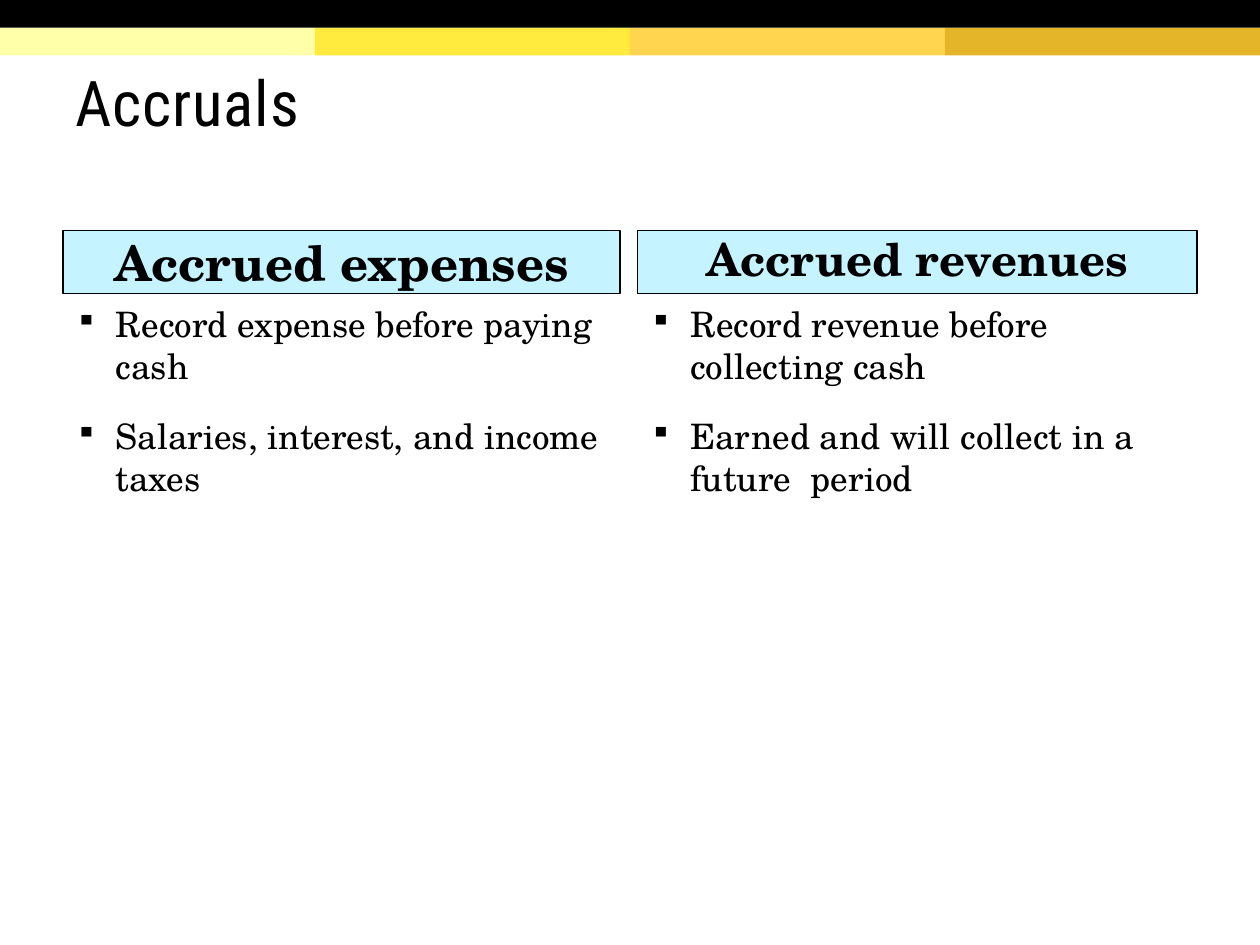
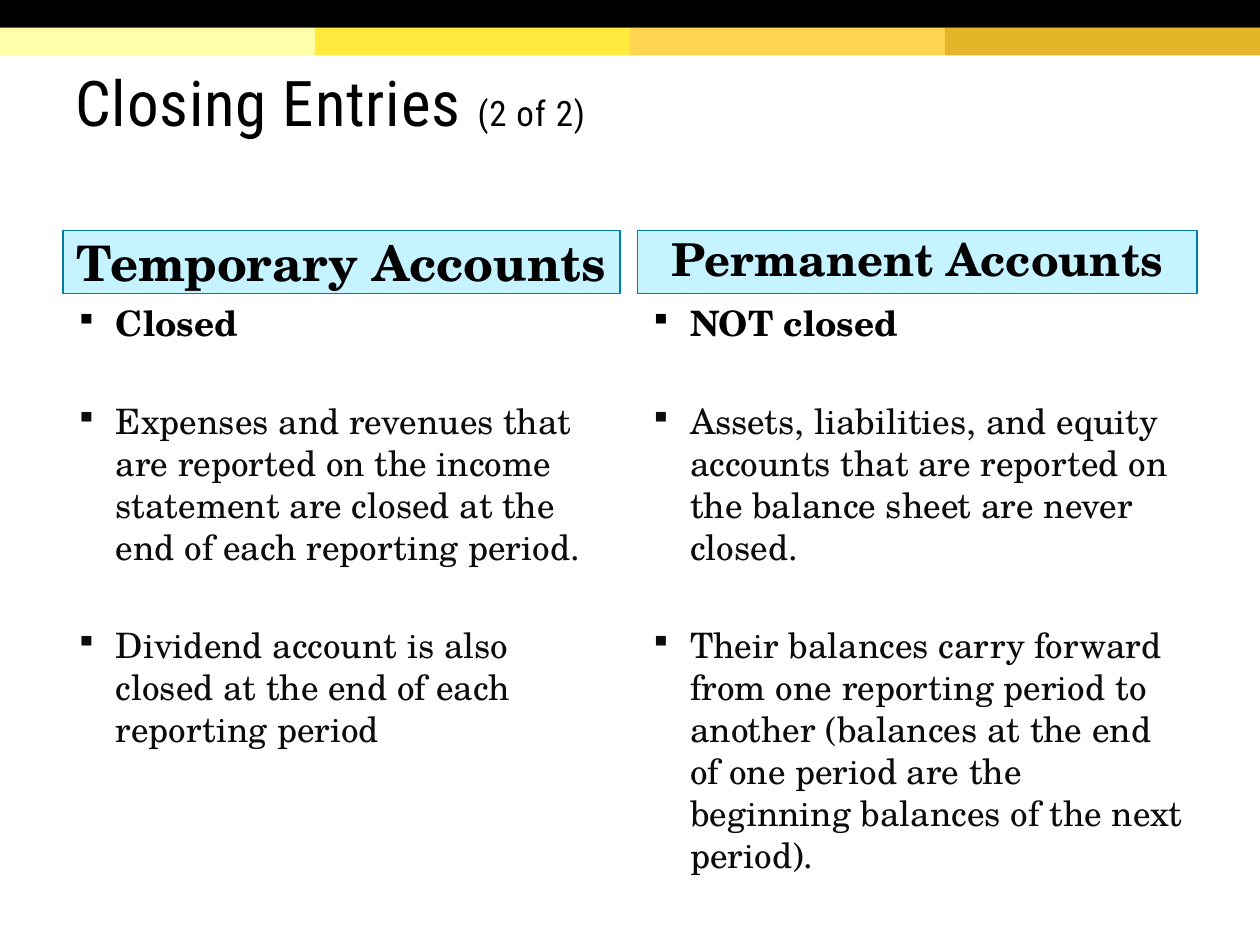
"""Builds two accounting slides that each compare a pair of headed columns."""
from lxml import etree
from pptx import Presentation
from pptx.dml.color import RGBColor
from pptx.enum.shapes import MSO_SHAPE
from pptx.enum.text import MSO_ANCHOR, PP_ALIGN
from pptx.oxml.ns import qn
from pptx.util import Inches, Pt

RECTANGLE = MSO_SHAPE.RECTANGLE
MIDDLE = MSO_ANCHOR.MIDDLE
CENTER = PP_ALIGN.CENTER

BLACK = RGBColor(0x00, 0x00, 0x00)
SOFT_BLACK = RGBColor(0x0C, 0x0C, 0x0C)
TEAL = RGBColor(0x00, 0x7F, 0xA3)
PALE_BLUE = RGBColor(0xC5, 0xF3, 0xFF)
STRIPE_COLORS = [
    RGBColor(0xFF, 0xFF, 0xAA),
    RGBColor(0xFF, 0xEA, 0x3D),
    RGBColor(0xFF, 0xD5, 0x4F),
    RGBColor(0xE4, 0xB4, 0x29),
]
TITLE_FONT = "Roboto Condensed"
BODY_FONT = "TeX Gyre Schola"

SLIDE_WIDTH, SLIDE_HEIGHT = 10, 7.5
BAND_HEIGHT = 0.22
HEADING_TOP, HEADING_HEIGHT = 1.83, 0.5
BULLET_INDENT = 0.32
COLUMNS = [
    {"left": 0.5, "width": 4.42, "size": 28, "spacing": None},
    {"left": 5.06, "width": 4.44, "size": 25.9, "spacing": 0.9},
]

SLIDES = [
    {
        "title": [("Accruals", 36)],
        "outline": BLACK,
        "list_top": 2.35,
        "list_heights": [4.03, 4.03],
        "lead_bold": False,
        "later_color": BLACK,
        "later_gap": 8,
        "columns": [
            ("Accrued expenses", [
                "Record expense before paying cash",
                "Salaries, interest, and income taxes",
            ]),
            ("Accrued revenues", [
                "Record revenue before collecting cash",
                "Earned and will collect in a future  period",
            ]),
        ],
    },
    {
        "title": [("Closing Entries ", 36), ("(2 of 2)", 20)],
        "outline": TEAL,
        "list_top": 2.34,
        "list_heights": [4.03, 4.35],
        "lead_bold": True,
        "later_color": SOFT_BLACK,
        "later_gap": 24,
        "columns": [
            ("Temporary Accounts", [
                "Closed",
                "Expenses and revenues that are reported on the income statement "
                "are closed at the end of each reporting period.",
                "Dividend account is also closed at the end of each reporting period",
            ]),
            ("Permanent Accounts", [
                "NOT closed",
                "Assets, liabilities, and equity accounts that are reported on "
                "the balance sheet are never closed.",
                "Their balances carry forward from one reporting period to another "
                "(balances at the end of one period are the beginning balances "
                "of the next period).",
            ]),
        ],
    },
]


def add_rectangle(page, left, top, width, height, fill, outline=None):
    box = page.shapes.add_shape(
        RECTANGLE, Inches(left), Inches(top), Inches(width), Inches(height))
    box.shadow.inherit = False
    box.fill.solid()
    box.fill.fore_color.rgb = fill
    if outline is None:
        box.line.fill.background()
    else:
        box.line.color.rgb = outline
        box.line.width = Pt(0.75)
    return box


def add_text_frame(page, left, top, width, height):
    box = page.shapes.add_textbox(
        Inches(left), Inches(top), Inches(width), Inches(height))
    box.text_frame.word_wrap = True
    return box.text_frame


def add_span(para, text, font, size, color=BLACK, bold=False):
    span = para.add_run()
    span.text = text
    span.font.name = font
    span.font.size = Pt(size)
    span.font.color.rgb = color
    span.font.bold = bold
    return span


def space_around(para, before=8):
    para.space_before = Pt(before)
    para.space_after = Pt(8)


def add_bullet(para, color):
    properties = para._p.get_or_add_pPr()
    properties.set("marL", str(Inches(BULLET_INDENT)))
    properties.set("indent", str(-Inches(BULLET_INDENT)))
    bullet_color = etree.SubElement(properties, qn("a:buClr"))
    etree.SubElement(bullet_color, qn("a:srgbClr"), val=str(color))
    etree.SubElement(properties, qn("a:buSzPct"), val="85000")
    etree.SubElement(properties, qn("a:buChar"), char="▪")


def add_bands(page):
    stripe_width = SLIDE_WIDTH / len(STRIPE_COLORS)
    for index, color in enumerate(STRIPE_COLORS):
        add_rectangle(page, index * stripe_width, BAND_HEIGHT,
                      stripe_width, BAND_HEIGHT, color)
    add_rectangle(page, 0, 0, SLIDE_WIDTH, BAND_HEIGHT, BLACK)


def add_title(page, parts):
    frame = add_text_frame(page, 0.5, 0.23, 9, 1.2)
    frame.vertical_anchor = MIDDLE
    frame.margin_top = Inches(0.1)
    para = frame.paragraphs[0]
    para.line_spacing = 0.85
    for text, size in parts:
        span = add_span(para, text, TITLE_FONT, size)
        span.font._element.set("spc", "50")


def add_heading(page, column, text, outline):
    box = add_rectangle(page, column["left"], HEADING_TOP, column["width"],
                        HEADING_HEIGHT, PALE_BLUE, outline)
    box.text_frame.word_wrap = True
    box.text_frame.vertical_anchor = MIDDLE
    para = box.text_frame.paragraphs[0]
    para.alignment = CENTER
    para.line_spacing = column["spacing"]
    space_around(para)
    add_span(para, text, BODY_FONT, column["size"], bold=True)


def add_list(page, column, height, items, content):
    frame = add_text_frame(page, column["left"], content["list_top"],
                           column["width"], height)
    for index, item in enumerate(items):
        lead = index == 0
        para = frame.paragraphs[0] if lead else frame.add_paragraph()
        color = BLACK if lead else content["later_color"]
        space_around(para, 8 if lead else content["later_gap"])
        add_bullet(para, color)
        add_span(para, item, BODY_FONT, 20, color, lead and content["lead_bold"])


def main():
    deck = Presentation()
    deck.slide_width = Inches(SLIDE_WIDTH)
    deck.slide_height = Inches(SLIDE_HEIGHT)
    blank_layout = deck.slide_layouts[6]
    for content in SLIDES:
        page = deck.slides.add_slide(blank_layout)
        add_bands(page)
        add_title(page, content["title"])
        for column, height, (heading, items) in zip(
                COLUMNS, content["list_heights"], content["columns"]):
            add_heading(page, column, heading, content["outline"])
            add_list(page, column, height, items, content)
    deck.save("out.pptx")


if __name__ == "__main__":
    main()
